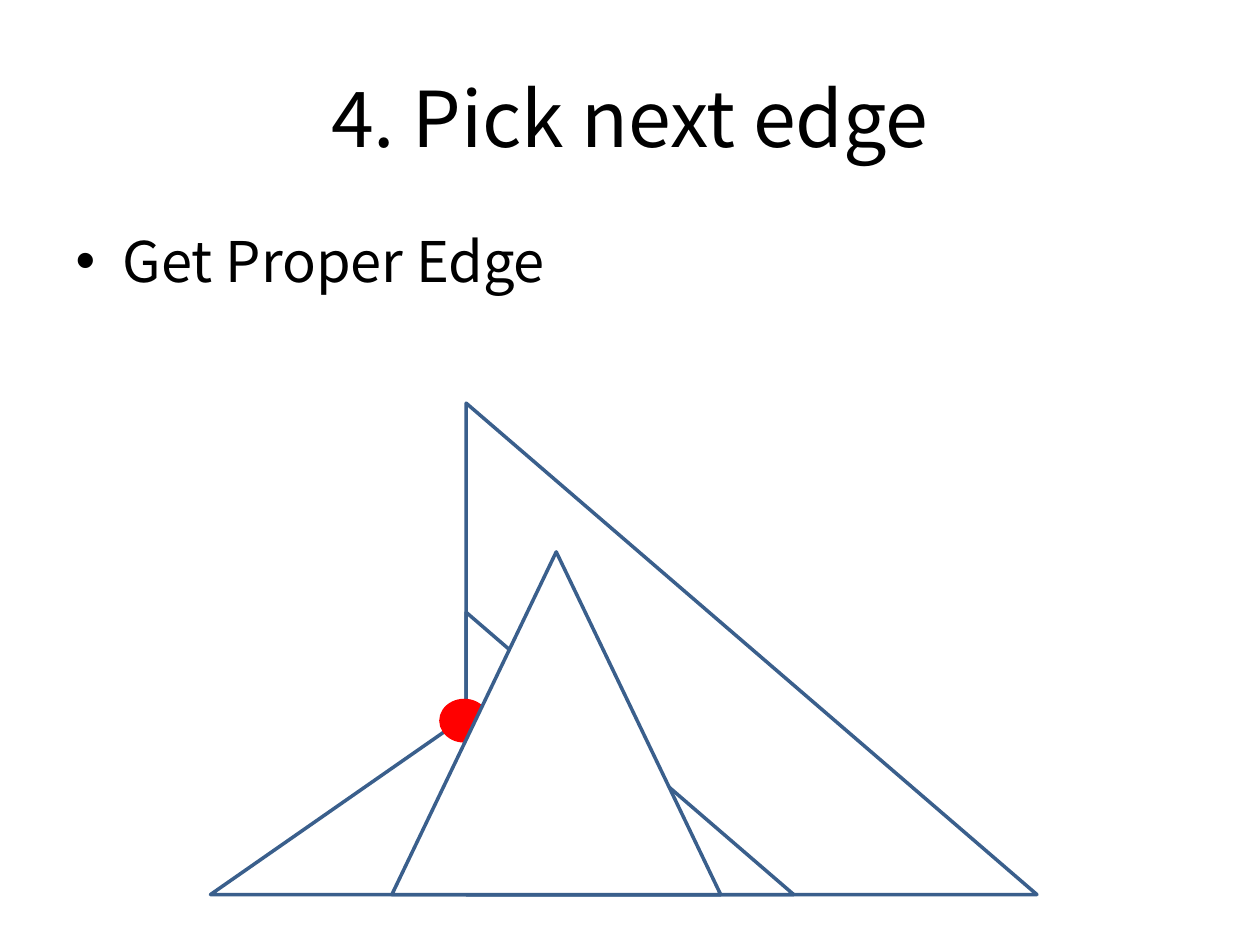
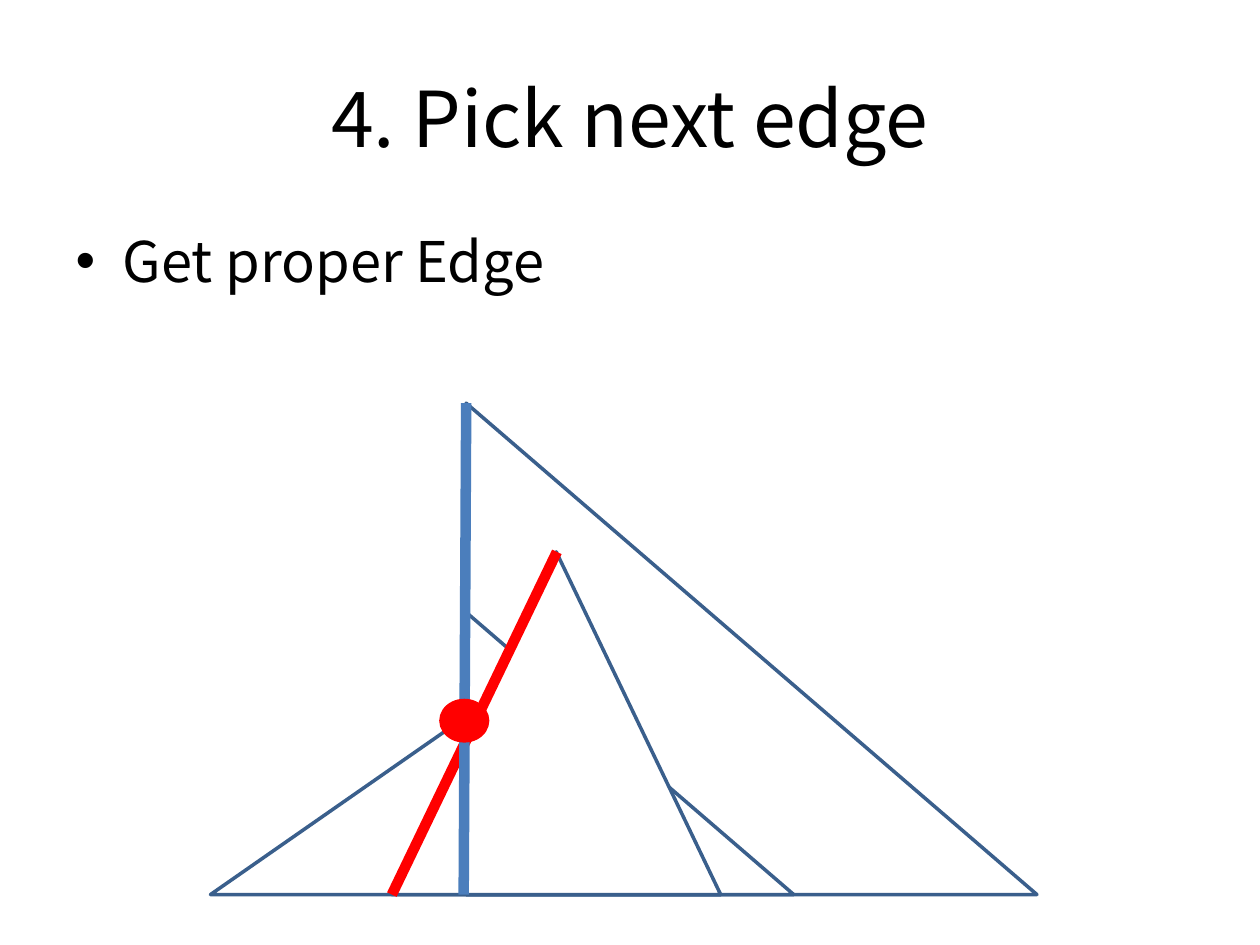
from pptx import Presentation, util as u
from pptx.dml.color import RGBColor
from pptx.enum import shapes as s, text as t
from pptx.oxml import ns
from lxml import etree

PX = 9144  # 100 px to the inch
FONT = "Noto Sans CJK KR"
HUES = {"ink": "000000", "paper": "FFFFFF", "edge": "3A5F8C",
        "hit": "FF0000", "wall": "4B7EBC"}
KIND = s.MSO_SHAPE
TITLE = (50, 30, 900, 125)
BODY = (50, 175, 900, 495)
SCENE = (167, 320)

# Kind, box within the scene, fill, line
PARTS = {
    "outer": (KIND.RIGHT_TRIANGLE, (203, 0, 453, 390), "paper", "edge"),
    "inner": (KIND.RIGHT_TRIANGLE, (203, 166, 260, 224), "paper", "edge"),
    "slope": (KIND.ISOSCELES_TRIANGLE, (0, 249, 405, 141), "paper", "edge"),
    "front": (KIND.ISOSCELES_TRIANGLE, (144, 118, 261, 272), "paper", "edge"),
    "dot": (KIND.OVAL, (183, 236, 37, 32), "hit", "hit"),
}
# Start and end within the scene, colour
EDGES = {
    "left": ((144, 390), (275, 118), "hit"),
    "wall": ((203, 0), (201, 390), "wall"),
}


def hue(name):
    return RGBColor.from_string(HUES[name])


def emu(*sizes):
    return [n * PX for n in sizes]


def fill_text(holder, box, words, size, align, anchor):
    """Move a placeholder to its box and set its one paragraph."""
    for key, val in zip(("left", "top", "width", "height"), emu(*box)):
        setattr(holder, key, val)
    frame = holder.text_frame
    frame.text = words
    frame.vertical_anchor = anchor
    para = frame.paragraphs[0]
    para.alignment = align
    font = para.runs[0].font
    for key, val in {"name": FONT, "size": u.Pt(size)}.items():
        setattr(font, key, val)
    font.color.rgb = hue("ink")


def stroke(line, color, width):
    line.color.rgb = hue(color)
    line.width = u.Pt(width)


def add_part(tree, org, name):
    kind, (x, y, w, h), fill, line = PARTS[name]
    part = tree.add_shape(kind, *emu(org[0] + x, org[1] + y, w, h))
    part.shadow.inherit = False
    part.fill.solid()
    part.fill.fore_color.rgb = hue(fill)
    stroke(part.line, line, 2)


def add_edge(tree, org, name):
    start, end, color = EDGES[name]
    ends = [a + b for point in (start, end) for a, b in zip(org, point)]
    edge = tree.add_connector(s.MSO_CONNECTOR.STRAIGHT, *emu(*ends))
    stroke(edge.line, color, 6)
    etree.SubElement(edge._element.spPr, ns.qn("a:effectLst"))


def add_page(deck, point):
    page = deck.slides.add_slide(deck.slide_layouts[1])
    fill_text(page.shapes.title, TITLE, "4. Pick next edge", 44,
              t.PP_ALIGN.CENTER, t.MSO_ANCHOR.MIDDLE)
    fill_text(page.placeholders[1], BODY, point, 32,
              t.PP_ALIGN.LEFT, t.MSO_ANCHOR.TOP)
    return page.shapes


def draw_hidden(tree, org):
    """Front triangle covers part of the crossing point."""
    group = tree.add_group_shape()
    for name in ("outer", "inner", "slope", "dot"):
        add_part(group.shapes, org, name)
    add_part(tree, org, "front")


def draw_edges(tree, org):
    """Both crossing edges stand out, with the point on top."""
    for name in ("outer", "inner", "slope", "front"):
        add_part(tree, org, name)
    for name in EDGES:
        add_edge(tree, org, name)
    add_part(tree, org, "dot")


def main():
    deck = Presentation()
    deck.slide_width, deck.slide_height = emu(1000, 750)
    draw_hidden(add_page(deck, "Get Proper Edge"), SCENE)
    draw_edges(add_page(deck, "Get proper Edge"), SCENE)
    deck.save("out.pptx")


if __name__ == "__main__":
    main()
